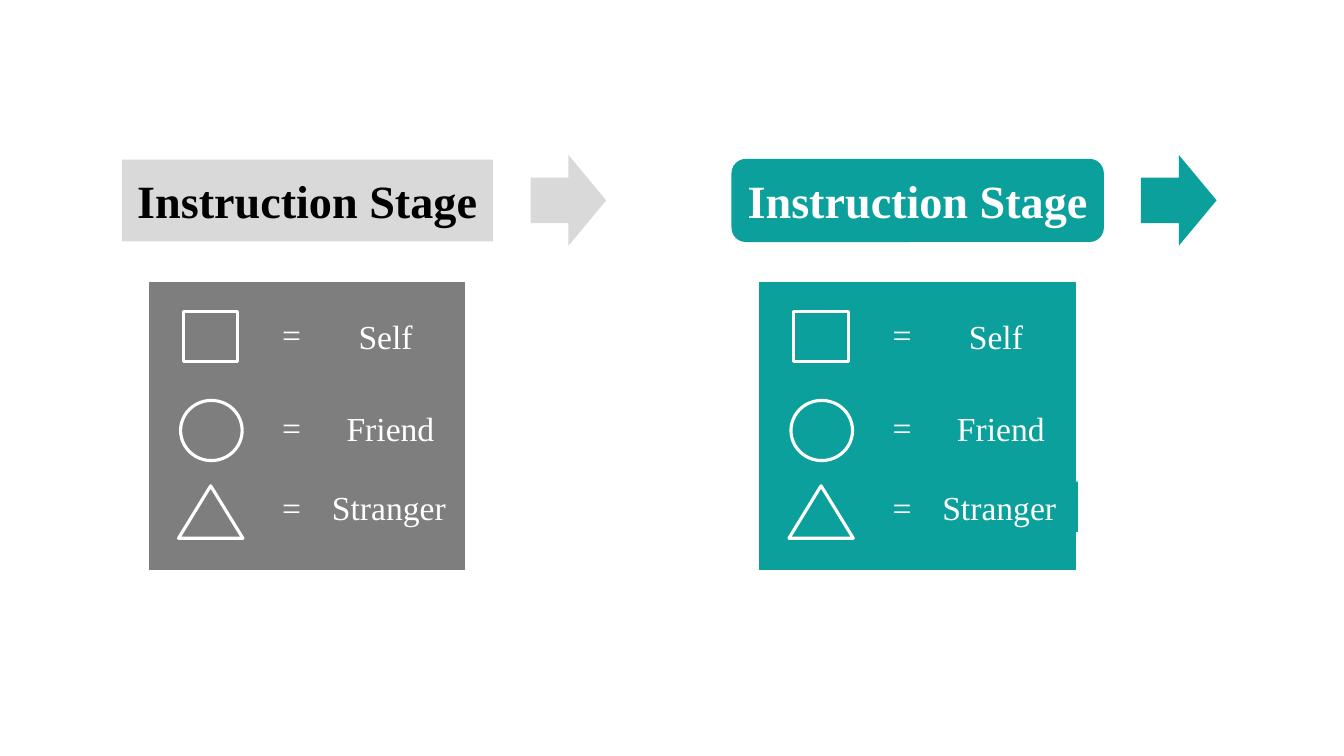
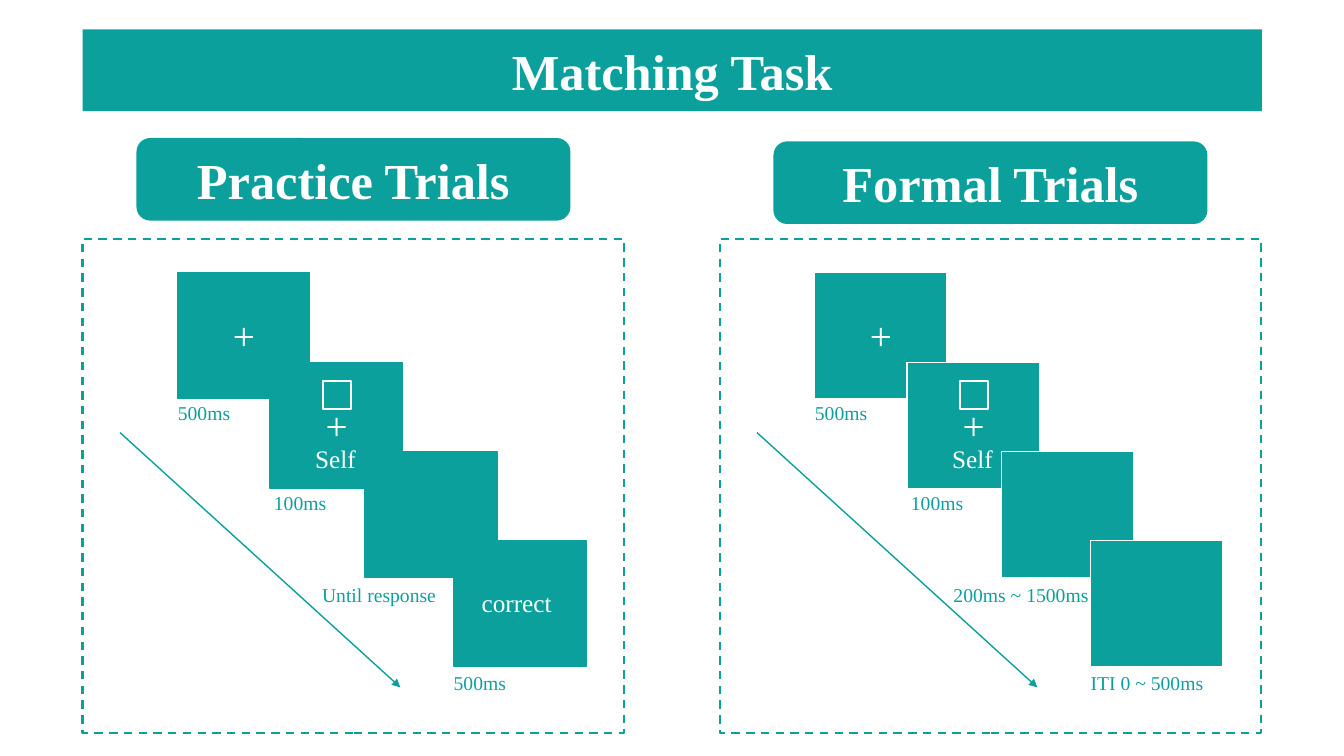
from pptx import Presentation
from pptx.dml.color import RGBColor
from pptx.enum.dml import MSO_LINE
from pptx.enum.shapes import MSO_CONNECTOR, MSO_SHAPE as Kind
from pptx.enum.text import MSO_ANCHOR, MSO_AUTO_SIZE, PP_ALIGN
from pptx.oxml import parse_xml
from pptx.oxml.ns import nsdecls
from pptx.util import Pt

FONT = "Times New Roman"
HUES = {"teal": "0CA09D", "gray": "7F7E7F", "pale": "D9D9D9",
        "white": "FFFFFF", "black": "000000"}

# Instruction slide: one column per colour scheme
STAGE = "Instruction Stage"
COLUMNS = [
    {"dx": 0, "pill": "pale", "ink": "black", "edge": None,
     "panel": "gray", "back": None},
    {"dx": 436, "pill": "teal", "ink": "white", "edge": "teal",
     "panel": "teal", "back": "teal"},
]
# kind, mark box, top of "=", word, word box
LEGEND = [
    (Kind.RECTANGLE, (131, 222.5, 39, 36), 221, "Self", (249, 222, 60, 36)),
    (Kind.OVAL, (129, 286, 44, 43), 287, "Friend", (240.5, 288, 81, 36)),
    (Kind.ISOSCELES_TRIANGLE, (127.5, 347, 46, 37.5), 344, "Stranger",
     (230, 344, 104, 36)),
]

# Matching slide: card corners, shared by both kinds of trial
TASK = "Matching Task"
CARDS = [(126.7, 194.5), (193, 259), (260.6, 322.6), (324, 386)]
NOTES = [(120, 283), (188.6, 347), (223, 412.5), (317, 476)]
TRIALS = [
    {"dx": 0, "name": "Practice Trials", "top": 98.6, "edge": "teal",
     "times": ["500ms", "100ms", "Until response", "500ms"],
     "shift": 0, "reply": "correct"},
    {"dx": 455, "name": "Formal Trials", "top": 101, "edge": "white",
     "times": ["500ms", "100ms", "200ms ~ 1500ms", "ITI 0 ~ 500ms"],
     "shift": -4, "reply": None},
]


def rgb(hue):
    return RGBColor.from_string(HUES[hue])


def move(box, dx):
    return (box[0] + dx, *box[1:])


def paint(shape, fill, edge=None, width=1):
    if fill:
        shape.fill.solid()
        shape.fill.fore_color.rgb = rgb(fill)
    else:
        shape.fill.background()
    if edge:
        shape.line.color.rgb = rgb(edge)
        shape.line.width = Pt(width)
    else:
        shape.line.fill.background()


def draw(slide, kind, box, fill, edge=None, width=1):
    shape = slide.shapes.add_shape(kind, *map(Pt, box))
    shape.shadow.inherit = False
    paint(shape, fill, edge, width)
    return shape


def write(shape, text, size, ink, bold=False, align=PP_ALIGN.LEFT):
    para = shape.text_frame.paragraphs[0]
    para.alignment = align
    run = para.add_run()
    run.text = text
    font = run.font
    font.name, font.size, font.bold = FONT, Pt(size), bold
    font.color.rgb = rgb(ink)


def label(slide, box, text, size, ink="white", fill=None):
    shape = slide.shapes.add_textbox(*map(Pt, box))
    shape.text_frame.word_wrap = True
    paint(shape, fill)
    write(shape, text, size, ink)


def pill(slide, box, text, size, fill="teal", ink="white", edge=None,
         title=False):
    """Rounded heading; with title, the title placeholder takes its shape."""
    if title:
        shape = slide.shapes.title
        shape.left, shape.top, shape.width, shape.height = map(Pt, box)
        shape._element.spPr.append(parse_xml(
            f'<a:prstGeom {nsdecls("a")} prst="roundRect"><a:avLst/></a:prstGeom>'))
        paint(shape, fill, edge)
    else:
        shape = draw(slide, Kind.ROUNDED_RECTANGLE, box, fill, edge)
    frame = shape.text_frame
    frame.word_wrap = True
    frame.auto_size = MSO_AUTO_SIZE.NONE
    frame.vertical_anchor = MSO_ANCHOR.MIDDLE
    write(shape, text, size, ink, True, PP_ALIGN.CENTER)


def arrow(slide, start, end):
    line = slide.shapes.add_connector(
        MSO_CONNECTOR.STRAIGHT, *map(Pt, (*start, *end)))
    line.line.color.rgb = rgb("teal")
    line.line.width = Pt(1)
    line.line._get_or_add_ln().append(
        parse_xml(f'<a:tailEnd {nsdecls("a")} type="triangle"/>'))
    line._element.spPr.append(parse_xml(f'<a:effectLst {nsdecls("a")}/>'))


def stage(slide, col, title):
    dx, hue = col["dx"], col["panel"]
    pill(slide, (87 + dx, 114, 265, 58.4), STAGE, 33, col["pill"],
         col["ink"], col["edge"], title)
    draw(slide, Kind.RIGHT_ARROW, (379 + dx, 110.6, 54, 65), col["pill"])
    draw(slide, Kind.RECTANGLE, (106 + dx, 201, 227, 206.6), hue, "white")
    for kind, mark, top, word, box in LEGEND:
        draw(slide, kind, move(mark, dx), hue, "white", 2.25)
        label(slide, (194.5 + dx, top, 30, 36), "=", 24)
        label(slide, move(box, dx), word, 24, fill=col["back"])


def trial(slide, data):
    dx = data["dx"]
    frame = draw(slide, Kind.RECTANGLE, (59 + dx, 170.6, 386.6, 352.8),
                 None, "teal", 1.5)
    frame.line.dash_style = MSO_LINE.DASH
    pill(slide, (97.5 + dx, data["top"], 310, 59), data["name"], 36)
    for step, (left, top) in enumerate(CARDS):
        x = left + dx
        draw(slide, Kind.RECTANGLE, (x, top, 94.5, 90), "teal", data["edge"])
        if step < 2:
            label(slide, (x + 32.5, top + 24, 40, 41), "+", 28)
        if step == 1:
            draw(slide, Kind.RECTANGLE, (x + 38, top + 13, 20, 20),
                 "teal", "white", 1.5)
            label(slide, (x + 25, top + 54, 60, 29), "Self", 18)
        if step == 3 and data["reply"]:
            label(slide, (x + 13, top + 30, 75, 29), data["reply"], 18)
    for step, ((left, top), text) in enumerate(zip(NOTES, data["times"])):
        x = left + dx + (data["shift"] if step == 2 else 0)
        label(slide, (x, top, 125, 24), text, 14, "teal")
    arrow(slide, (85.7 + dx, 309), (286 + dx, 491))


def main():
    deck = Presentation()
    deck.slide_width, deck.slide_height = Pt(960), Pt(540)
    layout = deck.slide_layouts[5]

    slide = deck.slides.add_slide(layout)
    for num, col in enumerate(COLUMNS):
        stage(slide, col, num == 0)

    slide = deck.slides.add_slide(layout)
    pill(slide, (59, 21, 842.4, 58.4), TASK, 36, title=True)
    for data in TRIALS:
        trial(slide, data)

    deck.save("out.pptx")


if __name__ == "__main__":
    main()
